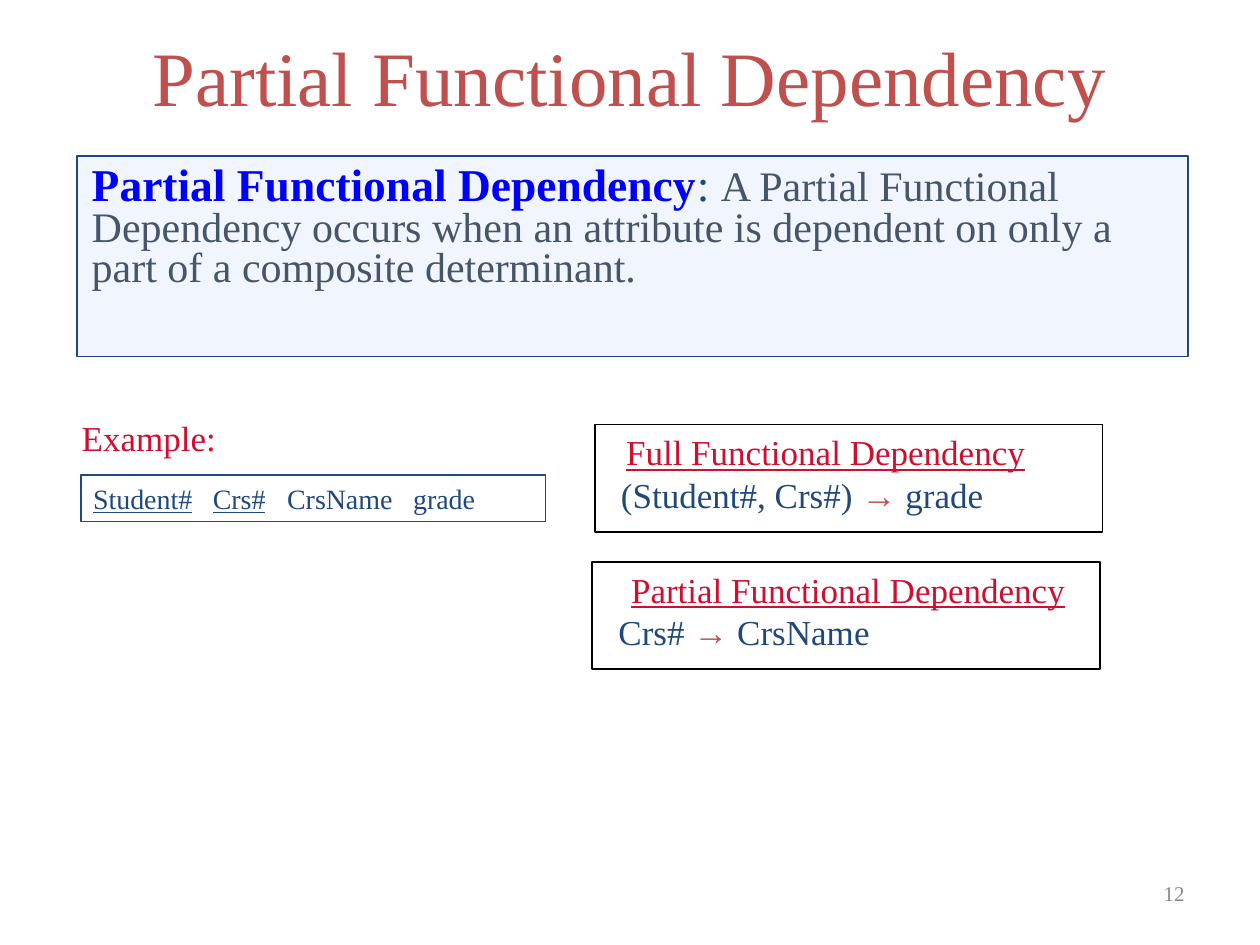
from dataclasses import dataclass
from typing import Optional

from lxml.etree import SubElement
from pptx import Presentation
from pptx.dml.color import RGBColor
from pptx.enum.shapes import MSO_SHAPE
from pptx.enum.text import MSO_ANCHOR, PP_ALIGN
from pptx.oxml.ns import qn
from pptx.util import Inches, Pt

NAVY = RGBColor(0x1F, 0x49, 0x7D)
BRICK = RGBColor(0xC0, 0x50, 0x4D)
CRIMSON = RGBColor(0xCF, 0x0E, 0x30)
BLUE = RGBColor(0x00, 0x00, 0xFF)
SLATE = RGBColor(0x47, 0x55, 0x69)
GRAY = RGBColor(0x89, 0x89, 0x89)
PALE = RGBColor(0xF0, 0xF5, 0xFE)
WHITE = RGBColor(0xFF, 0xFF, 0xFF)
BLACK = RGBColor(0x00, 0x00, 0x00)
SERIF = "Times New Roman"


@dataclass(frozen=True)
class Area:
    left: float
    top: float
    width: float
    height: float

    def lengths(self) -> tuple:
        return tuple(map(Inches, (self.left, self.top, self.width, self.height)))


@dataclass(frozen=True)
class Words:
    text: str
    size: int
    color: RGBColor
    bold: bool = False
    underline: bool = False
    font: str = SERIF


@dataclass(frozen=True)
class Dependency:
    frame: Area
    heading_area: Area
    heading: str
    formula_area: Area
    determinant: str
    dependent: str


def write(frame, words: list[Words], frame_format: Optional[dict] = None,
          paragraph_format: Optional[dict] = None) -> None:
    for name, value in ({"word_wrap": True} | (frame_format or {})).items():
        setattr(frame, name, value)
    paragraph = frame.paragraphs[0]
    for name, value in ({"alignment": PP_ALIGN.LEFT} | (paragraph_format or {})).items():
        setattr(paragraph, name, value)
    for part in words:
        run = paragraph.add_run()
        run.text = part.text
        run.font.color.rgb = part.color
        run_format = {"name": part.font, "size": Pt(part.size),
                      "bold": part.bold, "underline": part.underline}
        for name, value in run_format.items():
            setattr(run.font, name, value)


def add_text(slide, area: Area, words: list[Words], frame_format: Optional[dict] = None,
             paragraph_format: Optional[dict] = None) -> None:
    frame = slide.shapes.add_textbox(*area.lengths()).text_frame
    write(frame, words, frame_format, paragraph_format)


def add_box(slide, area: Area, fill: RGBColor, outline: RGBColor):
    box = slide.shapes.add_shape(MSO_SHAPE.RECTANGLE, *area.lengths())
    box.shadow.inherit = False
    box.fill.solid()
    box.fill.fore_color.rgb = fill
    box.line.color.rgb = outline
    box.line.width = Pt(1)
    return box


def set_tab_stops(paragraph, stops: list[float]) -> None:
    tab_list = SubElement(paragraph._p.get_or_add_pPr(), qn("a:tabLst"))
    for stop in stops:
        SubElement(tab_list, qn("a:tab"), pos=str(Inches(stop)), algn="l")


def add_dependency(slide, dependency: Dependency) -> None:
    add_box(slide, dependency.frame, WHITE, BLACK)
    add_text(slide, dependency.formula_area, [
        Words(f"{dependency.determinant} ", 20, NAVY),
        Words("→", 20, BRICK, font="Arial"),
        Words(f" {dependency.dependent}", 20, NAVY),
    ])
    add_text(slide, dependency.heading_area,
             [Words(dependency.heading, 20, CRIMSON, underline=True)])


DEPENDENCIES = [
    Dependency(Area(4.72, 3.37, 4.03, 0.85),
               Area(4.87, 3.37, 3.45, 0.44), "Full Functional Dependency",
               Area(4.83, 3.71, 3.36, 0.44), "(Student#, Crs#)", "grade"),
    Dependency(Area(4.7, 4.46, 4.03, 0.85),
               Area(4.91, 4.46, 3.72, 0.44), "Partial Functional Dependency",
               Area(4.81, 4.8, 3.06, 0.44), "Crs#", "CrsName"),
]


def main() -> None:
    presentation = Presentation()
    presentation.slide_width = Inches(10)
    presentation.slide_height = Inches(7.5)
    slide = presentation.slides.add_slide(presentation.slide_layouts[6])
    middle = {"vertical_anchor": MSO_ANCHOR.MIDDLE}

    add_text(slide, Area(7.17, 6.83, 2.33, 0.52), [Words("12", 12, GRAY)],
             middle, {"alignment": PP_ALIGN.RIGHT})
    add_box(slide, Area(0.61, 1.24, 8.82, 1.59), PALE, NAVY)
    add_text(slide, Area(0, 0, 10, 1.2),
             [Words("Partial Functional Dependency", 44, BRICK)],
             middle, {"alignment": PP_ALIGN.CENTER})
    add_text(slide, Area(0.63, 1.27, 8.77, 1.17), [
        Words("Partial Functional Dependency", 26, BLUE, bold=True),
        Words(": ", 26, NAVY),
        Words("A Partial Functional Dependency occurs when an attribute is "
              "dependent on only a part of a composite determinant.", 24, SLATE),
    ], paragraph_format={"line_spacing": 0.8, "space_before": Pt(6)})

    relation = add_box(slide, Area(0.64, 3.77, 3.69, 0.37), WHITE, NAVY).text_frame
    write(relation, [
        Words("Student#\tCrs#", 16, NAVY, underline=True),
        Words("\tCrsName\tgrade", 16, NAVY),
    ], {"vertical_anchor": MSO_ANCHOR.TOP})
    set_tab_stops(relation.paragraphs[0], [0.95, 1.54, 2.54])
    add_text(slide, Area(0.55, 3.26, 1.4, 0.44), [Words("Example:", 20, CRIMSON)])

    for dependency in DEPENDENCIES:
        add_dependency(slide, dependency)

    presentation.save("out.pptx")


if __name__ == "__main__":
    main()
